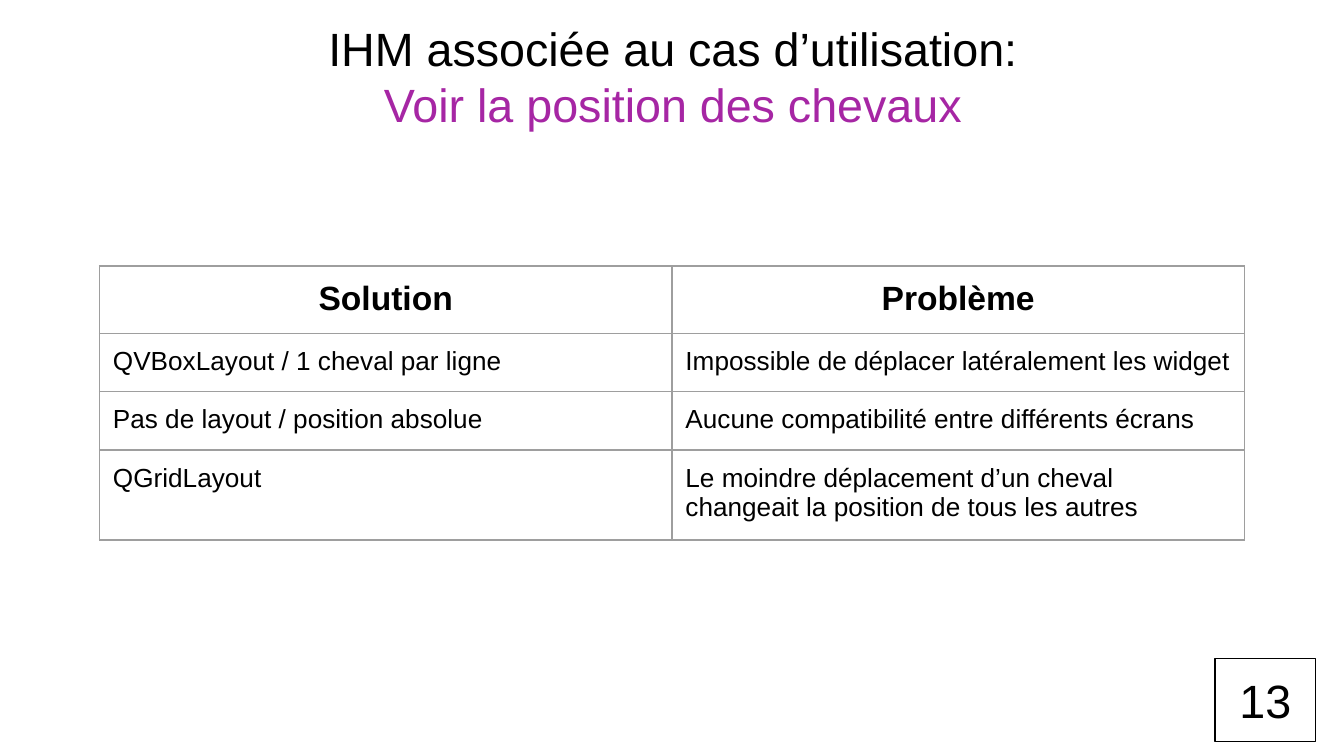
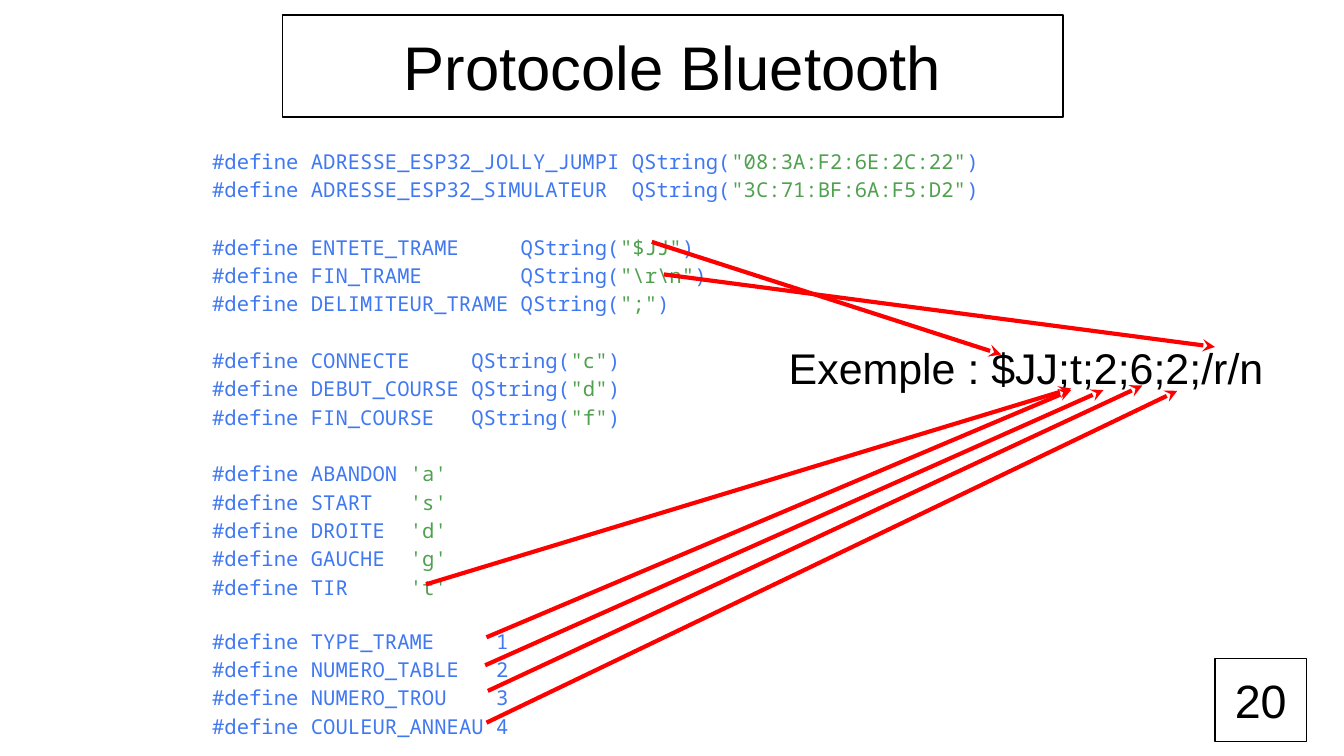
from lxml import etree
from pptx import Presentation
from pptx.dml.color import RGBColor
from pptx.enum.shapes import MSO_CONNECTOR, MSO_SHAPE
from pptx.enum.text import MSO_ANCHOR as Anchor, PP_ALIGN as Align
from pptx.oxml.ns import qn
from pptx.util import Inches, Pt

BLACK = RGBColor(0x00, 0x00, 0x00)
WHITE = RGBColor(0xFF, 0xFF, 0xFF)
PURPLE = RGBColor(0xA6, 0x26, 0xA4)
CODE_BLUE = RGBColor(0x40, 0x78, 0xF2)
CODE_GREEN = RGBColor(0x50, 0xA1, 0x4F)
ARROW_RED = RGBColor(0xFF, 0x00, 0x00)
GRID_GREY = RGBColor(0x9E, 0x9E, 0x9E)

SANS, MONO = "Arial", "Noto Sans Mono"
WIDTH, HEIGHT = Inches(10), Inches(5.625)
INSET = Inches(0.1)
CODE_SIZE, CODE_SPACING, GROUP_GAP = 11, 1.15, 15.2

SOLUTIONS = [
    ("Solution", "Problème"),
    ("QVBoxLayout / 1 cheval par ligne",
     "Impossible de déplacer latéralement les widget"),
    ("Pas de layout / position absolue",
     "Aucune compatibilité entre différents écrans"),
    ("QGridLayout",
     "Le moindre déplacement d’un cheval changeait la position de tous les autres"),
]
ROW_HEIGHTS = (8.9, 7.7, 7.7, 11.9)

# Each code block is a list of groups; a gap separates the groups
ADDRESSES = ["""\
#define ADRESSE_ESP32_JOLLY_JUMPI QString("08:3A:F2:6E:2C:22")
#define ADRESSE_ESP32_SIMULATEUR  QString("3C:71:BF:6A:F5:D2")"""]
FRAME_PARTS = [r"""#define ENTETE_TRAME     QString("$JJ")
#define FIN_TRAME        QString("\r\n")
#define DELIMITEUR_TRAME QString(";")""", """\
#define CONNECTE     QString("c")
#define DEBUT_COURSE QString("d")
#define FIN_COURSE   QString("f")""", """\
#define ABANDON 'a'
#define START   's'
#define DROITE  'd'
#define GAUCHE  'g'
#define TIR     't'"""]
FIELD_INDEXES = ["""\
#define TYPE_TRAME     1
#define NUMERO_TABLE   2
#define NUMERO_TROU    3
#define COULEUR_ANNEAU 4"""]

# From a definition to its place in the example frame, in % of the slide
FRAME_ARROWS = [
    ((48.5, 32), (74.5, 46.9)),
    ((49.4, 36.3), (90.4, 45.9)),
    ((31.7, 77.3), (79.7, 51.4)),
    ((36.1, 88), (82.1, 51.6)),
    ((36.3, 91.4), (85, 51)),
    ((36.2, 95.6), (87.6, 51.7)),
    ((36.2, 84.3), (79.7, 51.6)),
]


def across(percent):
    return int(WIDTH * percent / 100)


def down(percent):
    return int(HEIGHT * percent / 100)


def place(left, top, width, height):
    """Turn shares of the slide, in %, into lengths."""
    return across(left), down(top), across(width), down(height)


def style(font, size, color, name=SANS, bold=False):
    font.size, font.name, font.bold = Pt(size), name, bold
    font.color.rgb = color


def prepare(frame, anchor=Anchor.TOP):
    frame.word_wrap = True
    frame.vertical_anchor = anchor
    frame.margin_left = frame.margin_right = INSET
    frame.margin_top = frame.margin_bottom = INSET


def add_lines(frame, lines, size, align):
    """Write one paragraph for each (text, colour) pair."""
    for i, (text, color) in enumerate(lines):
        line = frame.add_paragraph() if i else frame.paragraphs[0]
        line.text, line.alignment = text, align
        style(line.font, size, color)


def add_label(slide, area, lines, size, align=Align.LEFT):
    frame = slide.shapes.add_textbox(*place(*area)).text_frame
    prepare(frame)
    add_lines(frame, lines, size, align)


def add_framed(slide, area, text, size, anchor=Anchor.TOP):
    box = slide.shapes.add_shape(MSO_SHAPE.RECTANGLE, *place(*area))
    box.shadow.inherit = False
    box.fill.solid()
    box.fill.fore_color.rgb = WHITE
    box.line.color.rgb, box.line.width = BLACK, Pt(0.75)
    prepare(box.text_frame, anchor)
    add_lines(box.text_frame, [(text, BLACK)], size, Align.CENTER)


def add_page_number(slide, number, width):
    add_framed(slide, (90.4, 87.1, width, 11), str(number), 25, Anchor.MIDDLE)


def add_code(slide, area, groups):
    frame = slide.shapes.add_textbox(*place(*area)).text_frame
    prepare(frame)
    for i, group in enumerate(groups):
        block = frame.add_paragraph() if i else frame.paragraphs[0]
        block.line_spacing = CODE_SPACING
        if i:
            block.space_before = Pt(GROUP_GAP)
        for j, line in enumerate(group.split("\n")):
            if j:
                block.add_line_break()
            add_code_line(block, line)
        style(block.font, CODE_SIZE, CODE_BLUE, MONO)


def add_code_line(block, line):
    """Split a line at its quotes and colour the literal green."""
    quote = '"' if '"' in line else "'"
    for i, part in enumerate(line.split(quote)):
        is_literal = i % 2 == 1
        text = quote + part + quote if is_literal else part
        if text:
            run = block.add_run()
            run.text = text
            style(run.font, CODE_SIZE, CODE_GREEN if is_literal else CODE_BLUE, MONO)


def add_arrow(slide, start, end):
    arrow = slide.shapes.add_connector(
        MSO_CONNECTOR.STRAIGHT, across(start[0]), down(start[1]),
        across(end[0]), down(end[1]))
    arrow.line.color.rgb, arrow.line.width = ARROW_RED, Pt(2.25)
    etree.SubElement(arrow.line._get_or_add_ln(), qn("a:tailEnd"), type="stealth")
    etree.SubElement(arrow._element.spPr, qn("a:effectLst"))


def border_cell(cell):
    props = cell._tc.get_or_add_tcPr()
    for i, side in enumerate(("lnL", "lnR", "lnT", "lnB")):
        edge = etree.Element(qn("a:" + side), w=str(Pt(0.75)))
        fill = etree.SubElement(edge, qn("a:solidFill"))
        etree.SubElement(fill, qn("a:srgbClr"), val=str(GRID_GREY))
        props.insert(i, edge)


def add_solution_table(slide):
    area = place(7.4, 35.2, 85.2, sum(ROW_HEIGHTS))
    table = slide.shapes.add_table(len(SOLUTIONS), 2, *area).table
    table.first_row = table.horz_banding = False
    for r, texts in enumerate(SOLUTIONS):
        table.rows[r].height = down(ROW_HEIGHTS[r])
        is_header = r == 0
        for c, text in enumerate(texts):
            cell = table.cell(r, c)
            cell.fill.background()
            border_cell(cell)
            cell.margin_left = cell.margin_right = INSET
            cell.margin_top = cell.margin_bottom = INSET
            cell.text = text
            entry = cell.text_frame.paragraphs[0]
            entry.alignment = Align.CENTER if is_header else Align.LEFT
            style(entry.font, 18 if is_header else 14, BLACK, bold=is_header)


def build_solutions(slide):
    add_label(slide, (16.6, 0.9, 66.9, 18.5),
              [("IHM associée au cas d’utilisation:", BLACK),
               ("Voir la position des chevaux", PURPLE)], 25, Align.CENTER)
    add_solution_table(slide)
    add_page_number(slide, 13, 7.5)


def build_protocol(slide):
    add_framed(slide, (21, 2, 58.1, 13.5), "Protocole Bluetooth", 33)
    add_code(slide, (14.8, 17.4, 70.3, 10.7), ADDRESSES)
    add_code(slide, (14.8, 28.8, 57, 52.3), FRAME_PARTS)
    add_code(slide, (14.8, 80.9, 32.8, 18.3), FIELD_INDEXES)
    add_label(slide, (57.7, 43.4, 37.4, 10.5),
              [("Exemple : $JJ;t;2;6;2;/r/n", BLACK)], 23)
    for start, end in FRAME_ARROWS:
        add_arrow(slide, start, end)
    add_page_number(slide, 20, 6.8)


def main():
    deck = Presentation()
    deck.slide_width, deck.slide_height = WIDTH, HEIGHT
    blank = deck.slide_layouts[6]
    for build in (build_solutions, build_protocol):
        build(deck.slides.add_slide(blank))
    deck.save("out.pptx")


if __name__ == "__main__":
    main()
